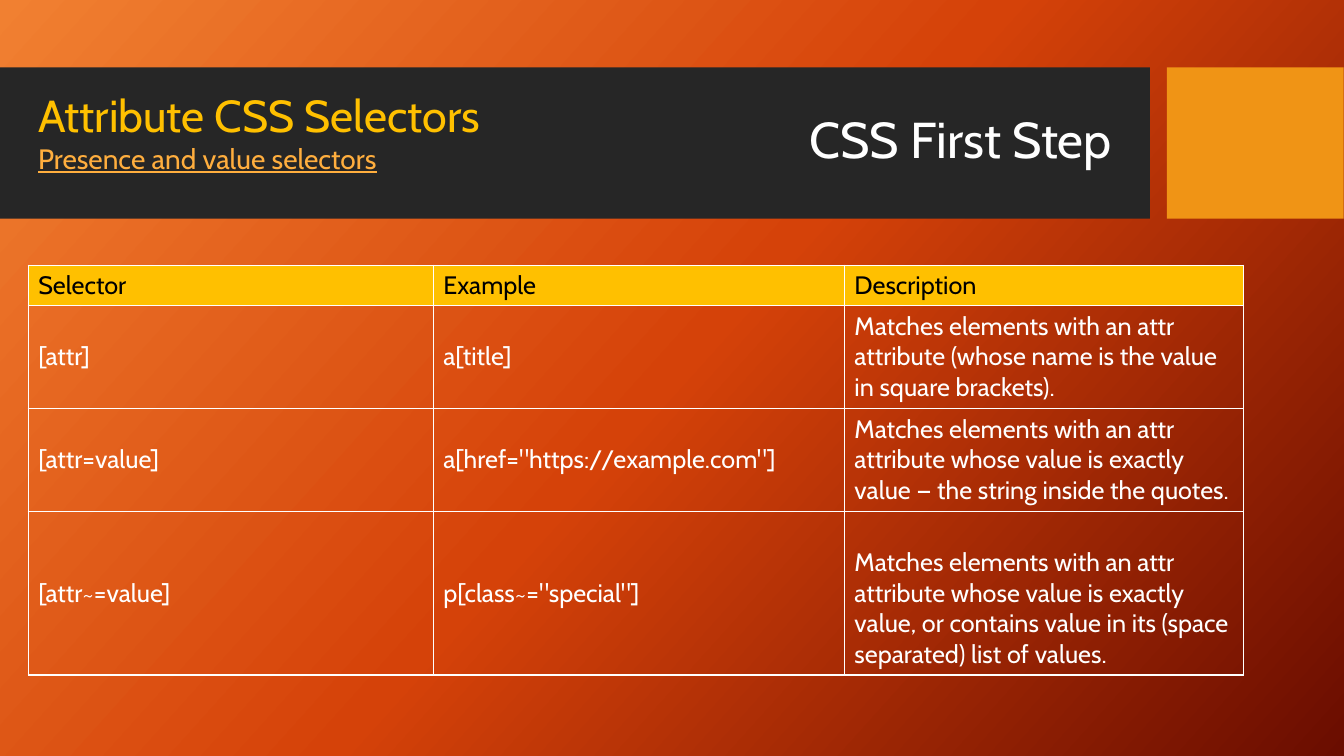
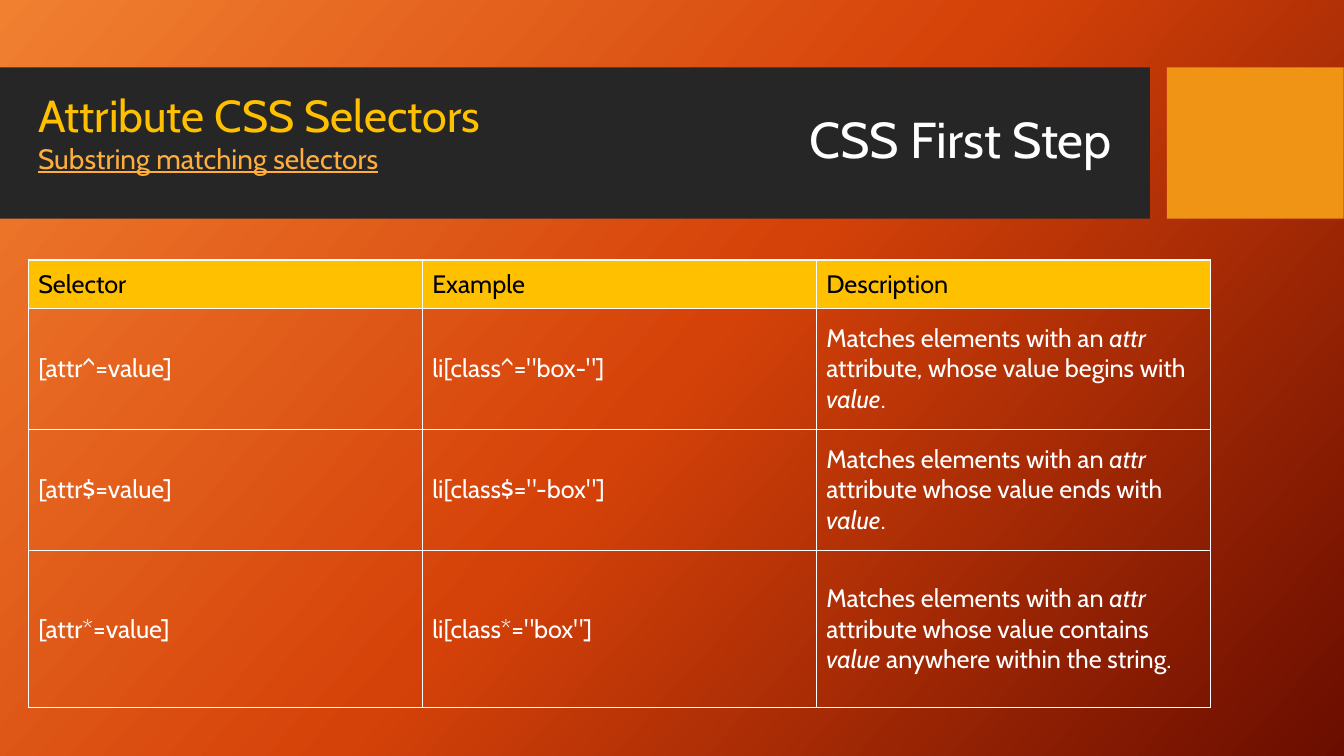
import copy

import lxml.etree
import pptx
import pptx.dml.color
import pptx.enum.shapes
import pptx.enum.text
import pptx.oxml.ns
import pptx.util

Cm = pptx.util.Cm
Pt = pptx.util.Pt
RGBColor = pptx.dml.color.RGBColor
qn = pptx.oxml.ns.qn

# Shared style
FONT = "Cabin"
WHITE = RGBColor(0xFF, 0xFF, 0xFF)
BLACK = RGBColor(0x00, 0x00, 0x00)
CHARCOAL = RGBColor(0x26, 0x26, 0x26)
ORANGE = RGBColor(0xF0, 0x94, 0x15)
GOLD = RGBColor(0xFF, 0xC0, 0x00)
APRICOT = RGBColor(0xFF, 0xAE, 0x3E)
BACKGROUND_STOPS = (
    (0, RGBColor(0xF1, 0x80, 0x31)),
    (0.5, RGBColor(0xD5, 0x42, 0x09)),
    (1, RGBColor(0x6A, 0x0D, 0x00)),
)
LEFT = 0.71
BAND_TOP, BAND_HEIGHT = 1.7, 3.81
TEXT_TOP = 2.08
BREAK_MARGIN = 0.9


class Deck:
    """Holds the shared style and the current slide."""

    def __init__(self):
        self.presentation = pptx.Presentation()
        self.presentation.slide_width = Cm(33.87)
        self.presentation.slide_height = Cm(19.05)
        self.layout = self.presentation.slide_layouts[5]
        self.slide = None
        self.set_background()

    def set_background(self):
        fill = self.layout.background.fill
        fill.gradient()
        fill.gradient_angle = 360 - 42
        first_stop = fill.gradient_stops[0]._gs
        first_stop.addnext(copy.deepcopy(first_stop))
        for stop, (position, color) in zip(fill.gradient_stops, BACKGROUND_STOPS):
            stop.position = position
            stop.color.rgb = color

    def add_layout_band(self, left, width, color):
        """Make a band on the current slide, then move it to the layout."""
        band = self.slide.shapes.add_shape(
            pptx.enum.shapes.MSO_SHAPE.RECTANGLE,
            Cm(left), Cm(BAND_TOP), Cm(width), Cm(BAND_HEIGHT))
        band.shadow.inherit = False
        band.fill.solid()
        band.fill.fore_color.rgb = color
        band.line.fill.background()
        self.layout.shapes._spTree.insert(2, band._element)

    def style(self, paragraph, size, color):
        paragraph.font.name = FONT
        paragraph.font.size = Pt(size)
        paragraph.font.color.rgb = color

    def add_slide(self, title):
        is_first = self.slide is None
        self.slide = self.presentation.slides.add_slide(self.layout)
        if is_first:
            self.add_layout_band(0, 28.98, CHARCOAL)
            self.add_layout_band(29.41, 4.45, ORANGE)
        shape = self.slide.shapes.title
        shape.left, shape.top = Cm(20.14), Cm(TEXT_TOP)
        shape.width, shape.height = Cm(8.64), Cm(3)
        frame = shape.text_frame
        frame.text = title
        frame.auto_size = pptx.enum.text.MSO_AUTO_SIZE.NONE
        frame.vertical_anchor = pptx.enum.text.MSO_ANCHOR.MIDDLE
        paragraph = frame.paragraphs[0]
        paragraph.alignment = pptx.enum.text.PP_ALIGN.LEFT
        paragraph.line_spacing = 0.9
        self.style(paragraph, 36, WHITE)

    def add_heading(self, topic, subtopic):
        box = self.slide.shapes.add_textbox(
            Cm(LEFT), Cm(TEXT_TOP), Cm(17.81), Cm(3.25))
        frame = box.text_frame
        frame.word_wrap = True
        frame.text = f"{topic}\n{subtopic}"
        topic_line, subtopic_line = frame.paragraphs
        self.style(topic_line, 32, GOLD)
        self.style(subtopic_line, 20, APRICOT)
        subtopic_line.font.underline = True

    def add_table(self, top, widths, heights, rows):
        frame = self.slide.shapes.add_table(
            len(rows), len(widths),
            Cm(LEFT), Cm(top), Cm(sum(widths)), Cm(sum(heights)))
        table = frame.table
        table.first_row = table.horz_banding = False
        for column, width in zip(table.columns, widths):
            column.width = Cm(width)
        for row, height in zip(table.rows, heights):
            row.height = Cm(height)
        for row_index, texts in enumerate(rows):
            for column_index, text in enumerate(texts):
                cell = table.cell(row_index, column_index)
                self.fill_cell(cell, text, is_header=row_index == 0)
        return table

    def fill_cell(self, cell, text, is_header):
        """Write a cell; words between underscores become italic."""
        cell.vertical_anchor = pptx.enum.text.MSO_ANCHOR.MIDDLE
        paragraph = cell.text_frame.paragraphs[0]
        for index, part in enumerate(text.split("_")):
            run = paragraph.add_run()
            run.text = part
            if index % 2:
                run.font.italic = True
        self.style(paragraph, 18, BLACK if is_header else WHITE)
        if is_header:
            cell.fill.solid()
            cell.fill.fore_color.rgb = GOLD
        else:
            cell.fill.background()
        self.add_borders(cell)

    def add_borders(self, cell):
        properties = cell._tc.get_or_add_tcPr()
        for index, side in enumerate(("a:lnL", "a:lnR", "a:lnT", "a:lnB")):
            line = lxml.etree.Element(qn(side), w=str(Pt(1)))
            fill = lxml.etree.SubElement(line, qn("a:solidFill"))
            lxml.etree.SubElement(fill, qn("a:srgbClr"), val=str(WHITE))
            properties.insert(index, line)


TITLE = "CSS First Step"
TOPIC = "Attribute CSS Selectors"
HEADER = ("Selector", "Example", "Description")
deck = Deck()

# Slide 1: presence and value selectors
deck.add_slide(TITLE)
deck.add_heading(TOPIC, "Presence and value selectors")
presence_table = deck.add_table(
    6.68, (10.21, 10.36, 10.06), (1.02, 2.59, 2.59, 4.13), (
        HEADER,
        ("[attr]", "a[title]",
         "Matches elements with an attr attribute (whose name is the value "
         "in square brackets)."),
        ("[attr=value]", 'a[href="https://example.com"]',
         "Matches elements with an attr attribute whose value is exactly "
         "value — the string inside the quotes."),
        ("[attr~=value]", 'p[class~="special"]',
         "Matches elements with an attr attribute whose value is exactly "
         "value, or contains value in its (space separated) list of values."),
    ))
presence_table.cell(3, 2).margin_top = Cm(BREAK_MARGIN)

# Slide 2: substring matching selectors
deck.add_slide(TITLE)
deck.add_heading(TOPIC, "Substring matching selectors")
deck.add_table(
    6.55, (9.93,) * 3, (1.22, 3.05, 3.05, 3.96), (
        HEADER,
        ("[attr^=value]", 'li[class^="box-"]',
         "Matches elements with an _attr_ attribute, whose value begins "
         "with _value_."),
        ("[attr$=value]", 'li[class$="-box"]',
         "Matches elements with an _attr_ attribute whose value ends "
         "with _value_."),
        ("[attr*=value]", 'li[class*="box"]',
         "Matches elements with an _attr_ attribute whose value contains "
         "_value_ anywhere within the string."),
    ))

deck.presentation.save("out.pptx")
